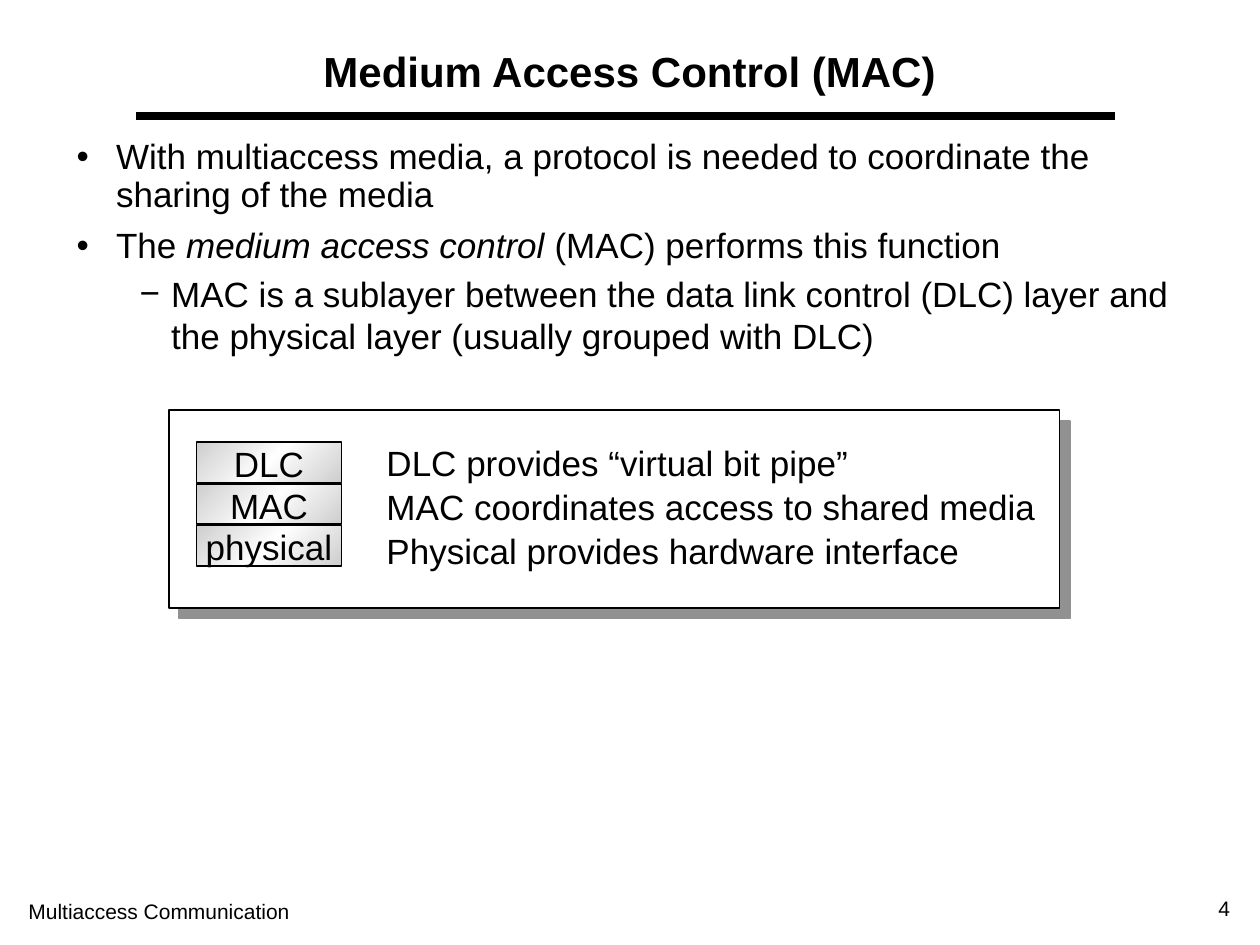
from copy import deepcopy

from lxml import etree
from pptx import Presentation
from pptx import util as u
from pptx.dml.color import RGBColor
from pptx.enum import shapes, text
from pptx.oxml import parse_xml
from pptx.oxml.ns import nsdecls, qn

Pt = u.Pt
THEME = {
    "font": "Arial", "ink": "000000", "paper": "FFFFFF", "shadow": "919191",
    "gradient": [(0, "CECECE"), (0.5, "FEFEFE"), (1, "CECECE")],
    "title": 24, "body": 20, "footer": 12,
}
LEFT, CENTER, RIGHT = text.PP_ALIGN.LEFT, text.PP_ALIGN.CENTER, text.PP_ALIGN.RIGHT

TITLE = "Medium Access Control (MAC)"
FOOTER = "Multiaccess Communication"
PAGE_NUMBER = "4"
BULLETS = [
    (0, [("With multiaccess media, a protocol is needed to coordinate the sharing of the media", False)]),
    (0, [("The ", False), ("medium access control", True), (" (MAC) performs this function", False)]),
    (1, [("MAC is a sublayer between the data link control (DLC) layer and the physical layer "
          "(usually grouped with DLC)", False)]),
]
LEVELS = [
    {"mark": "•", "left": 22.5, "hang": 22.5, "before": 7.5, "spacing": 0.9},
    {"mark": "−", "left": 54, "hang": 18, "before": 3.7, "spacing": 1.0},
]
LAYERS = [("DLC", 56), ("MAC", 60), ("physical", 90)]
ROLES = [
    "DLC provides “virtual bit pipe”",
    "MAC coordinates access to shared media",
    "Physical provides hardware interface",
]

PANEL = (96.5, 234.5, 509, 113)
CELL_LEFT, CELL_TOP, CELL_WIDTH, CELL_HEIGHT, CELL_PITCH = 112.3, 252.7, 82.8, 23, 23.8
LABEL_HEIGHT = 31


def points(*lengths):
    return [Pt(length) for length in lengths]


def color(name):
    return RGBColor.from_string(THEME.get(name, name))


def style(para, size, bold=False):
    for span in para.runs:
        span.font.name = THEME["font"]
        span.font.size = Pt(THEME[size])
        span.font.bold = bold
        span.font.color.rgb = color("ink")


def add_text(parent, place, lines, size, align=LEFT, before=0, wrap=True):
    box = parent.add_textbox(*points(*place))
    frame = box.text_frame
    frame.word_wrap = wrap
    frame.auto_size = text.MSO_AUTO_SIZE.SHAPE_TO_FIT_TEXT
    frame.text = "\n".join(lines)
    for para in frame.paragraphs:
        para.alignment = align
        para.space_before = Pt(before)
        style(para, size)


def add_rectangle(parent, place):
    box = parent.add_shape(shapes.MSO_SHAPE.RECTANGLE, *points(*place))
    box.shadow.inherit = False
    box.line.color.rgb = color("ink")
    box.line.width = Pt(1)
    return box


def fill_gradient(box):
    box.fill.gradient()
    box.fill.gradient_angle = 135
    stop_list = box.element.spPr.find(".//" + qn("a:gsLst"))
    stop_list.append(deepcopy(stop_list[-1]))
    for stop, (position, shade) in zip(box.fill.gradient_stops, THEME["gradient"]):
        stop.position = position
        stop.color.rgb = color(shade)


def drop_shadow(box):
    effects = box.element.spPr.find(qn("a:effectLst"))
    effects.append(parse_xml(
        f'<a:outerShdw {nsdecls("a")} blurRad="0" dist="{Pt(8.5)}" dir="2700000" '
        f'algn="ctr" rotWithShape="0"><a:srgbClr val="{THEME["shadow"]}"/></a:outerShdw>'))


def add_title(page):
    title = page.shapes.title
    title.left, title.top, title.width, title.height = points(77.8, 18, 563.8, 48.2)
    frame = title.text_frame
    frame.text = TITLE
    frame.auto_size = text.MSO_AUTO_SIZE.NONE
    frame.vertical_anchor = text.MSO_ANCHOR.MIDDLE
    para = frame.paragraphs[0]
    para.alignment = CENTER
    para.line_spacing = 0.9
    style(para, "title", bold=True)


def add_rule(page):
    rule = page.shapes.add_connector(
        shapes.MSO_CONNECTOR.STRAIGHT, *points(77.8, 66.2, 637.2, 66.2))
    rule.line.color.rgb = color("ink")
    rule.line.width = Pt(4.5)
    etree.SubElement(rule.element.spPr, qn("a:effectLst"))


def add_bullets(page):
    box = page.shapes.add_textbox(*points(36.7, 76.3, 646.6, 398.2))
    frame = box.text_frame
    frame.word_wrap = True
    for index, (depth, spans) in enumerate(BULLETS):
        level = LEVELS[depth]
        para = frame.paragraphs[0] if index == 0 else frame.add_paragraph()
        para.level = depth
        para.line_spacing = level["spacing"]
        para.space_before = Pt(level["before"])
        for words, italic in spans:
            span = para.add_run()
            span.text = words
            span.font.italic = italic
        style(para, "body")
        settings = para._p.get_or_add_pPr()
        settings.set("marL", str(Pt(level["left"])))
        settings.set("indent", str(-Pt(level["hang"])))
        tint = etree.SubElement(settings, qn("a:buClr"))
        etree.SubElement(tint, qn("a:srgbClr"), val=THEME["ink"])
        etree.SubElement(settings, qn("a:buFont"), typeface=THEME["font"])
        etree.SubElement(settings, qn("a:buChar"), char=level["mark"])


def add_layer_diagram(page):
    group = page.shapes.add_group_shape().shapes
    panel = add_rectangle(group, PANEL)
    panel.fill.solid()
    panel.fill.fore_color.rgb = color("paper")
    drop_shadow(panel)
    tops = [CELL_TOP + row * CELL_PITCH for row in range(len(LAYERS))]
    for top in tops:
        fill_gradient(add_rectangle(group, (CELL_LEFT, top, CELL_WIDTH, CELL_HEIGHT)))
    for top, (name, width) in zip(tops, LAYERS):
        left = CELL_LEFT + (CELL_WIDTH - width) / 2
        label_top = top + (CELL_HEIGHT - LABEL_HEIGHT) / 2 + 0.7
        add_text(group, (left, label_top, width, LABEL_HEIGHT), [name], "body", CENTER, wrap=False)
    add_text(group, (213.8, 248.8, 396, 81.4), ROLES, "body", before=1.2)


def main():
    deck = Presentation()
    deck.slide_width, deck.slide_height = points(720, 540)
    page = deck.slides.add_slide(deck.slide_layouts[5])
    add_rule(page)
    add_text(page.shapes, (644.4, 508.3, 65.5, 21.6), [PAGE_NUMBER], "footer", RIGHT, before=7.5)
    add_text(page.shapes, (9.2, 510.2, 288, 21.6), [FOOTER], "footer", before=7.5)
    add_title(page)
    add_bullets(page)
    add_layer_diagram(page)
    deck.save("out.pptx")


if __name__ == "__main__":
    main()
